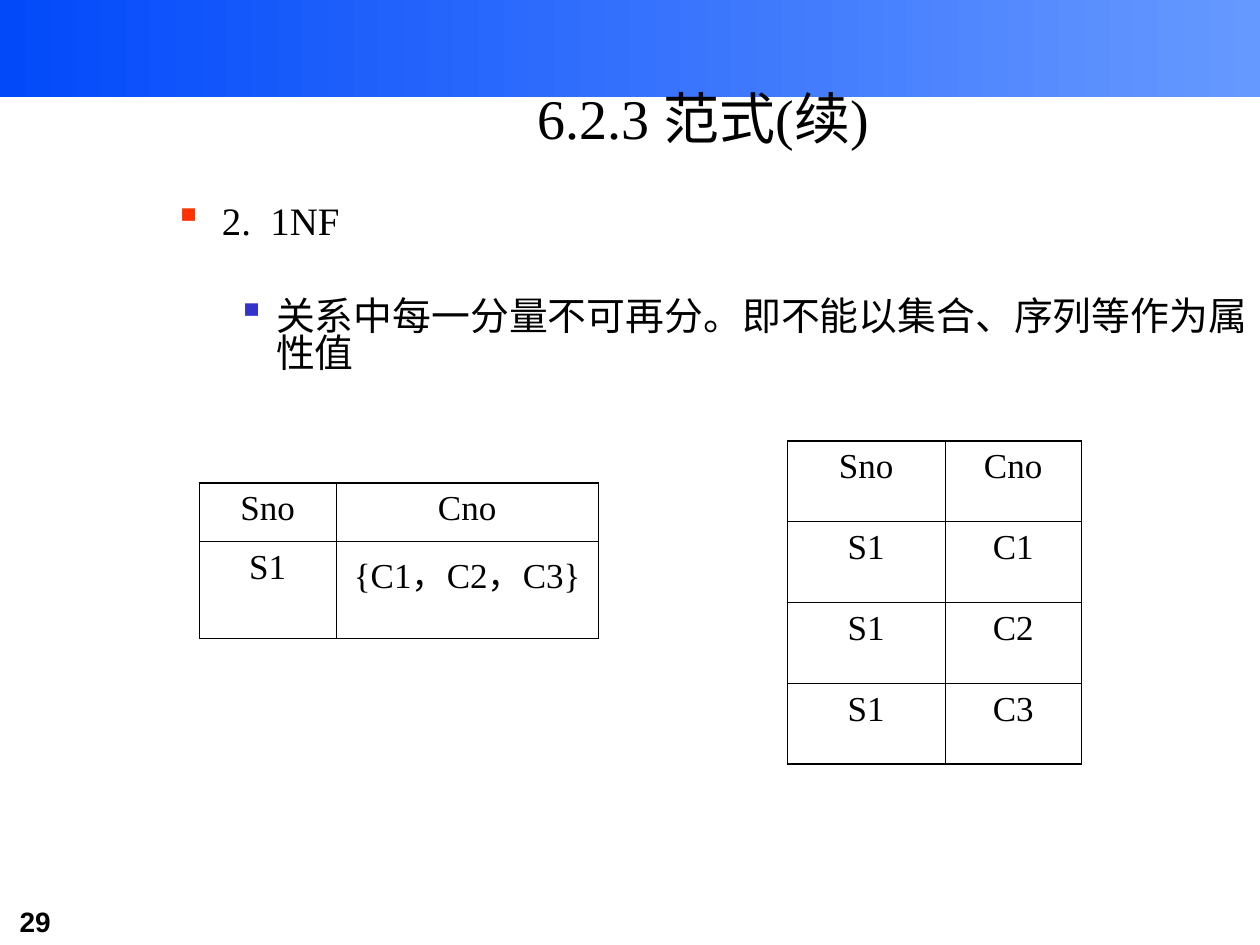
from lxml.etree import SubElement
from pptx import Presentation
from pptx.dml.color import RGBColor
from pptx.enum.shapes import MSO_SHAPE
from pptx.enum.text import PP_ALIGN
from pptx.oxml import parse_xml
from pptx.oxml.ns import nsdecls, qn
from pptx.util import Inches, Pt

UNIT = Inches(10) / 120
SERIF = "Times New Roman"


def grid(*cells):
    return [round(cell * UNIT) for cell in cells]


def style(paragraph, size, face=SERIF, color="000000"):
    paragraph.font.size = Pt(size)
    paragraph.font.name = face
    paragraph.font.color.rgb = RGBColor.from_string(color)


deck = Presentation()
deck.slide_width, deck.slide_height = grid(120, 90)
slide = deck.slides.add_slide(deck.slide_layouts[6])

band = slide.shapes.add_shape(MSO_SHAPE.RECTANGLE, *grid(0, 0, 120, 9.2))
band.shadow.inherit = False
band.line.fill.background()
band.fill.gradient()
band.fill.gradient_angle = 0
for stop, (position, shade) in zip(band.fill.gradient_stops, [(0, "0249FA"), (1, "6699FF")]):
    stop.position = position
    stop.color.rgb = RGBColor.from_string(shade)

page_number = slide.shapes.add_textbox(*grid(0.7, 85.6, 14.6, 4.4)).text_frame.paragraphs[0]
page_number.text = "29"
page_number.space_before = Pt(10)
style(page_number, 16, "Arial")
page_number.font.bold = True

heading = slide.shapes.add_textbox(*grid(16, 7.4, 102, 14)).text_frame
heading.word_wrap = True
title = heading.paragraphs[0]
title.text = "6.2.3 范式(续)"
title.alignment = PP_ALIGN.CENTER
style(title, 32)

body = slide.shapes.add_textbox(*grid(15.4, 19, 104.6, 18)).text_frame
body.word_wrap = True
points = [
    ("2.  1NF", 0, 0.38, -0.38, 6, "FF3300"),
    ("关系中每一分量不可再分。即不能以集合、序列等作为属性值", 1, 0.81, -0.31, 33, "3333CC"),
]
for index, (wording, level, margin, indent, gap, bullet_color) in enumerate(points):
    point = body.paragraphs[0] if index == 0 else body.add_paragraph()
    point.text = wording
    point.level = level
    point.line_spacing = 0.8
    point.space_before = Pt(gap)
    style(point, 22.2)
    properties = point._p.get_or_add_pPr()
    properties.set("marL", str(Inches(margin)))
    properties.set("indent", str(Inches(indent)))
    bullet = parse_xml(f'<a:buClr {nsdecls("a")}><a:srgbClr val="{bullet_color}"/></a:buClr>')
    properties.find(qn("a:spcBef")).addnext(bullet)
    character = SubElement(properties, qn("a:buChar"), char="▪")
    bullet.addnext(character)

relations = [
    (19, 46, [13, 25], [5.6, 9.2], [["Sno", "Cno"], ["S1", "{C1，C2，C3}"]]),
    (75, 42, [15, 13], [7.7] * 4, [["Sno", "Cno"], ["S1", "C1"], ["S1", "C2"], ["S1", "C3"]]),
]
for left, top, widths, heights, records in relations:
    relation = slide.shapes.add_table(
        len(heights), len(widths), *grid(left, top, sum(widths), sum(heights))
    ).table
    relation.first_row = False
    relation.horz_banding = False
    for column, width in zip(relation.columns, grid(*widths)):
        column.width = width
    for row, height in zip(relation.rows, grid(*heights)):
        row.height = height
    for r, record in enumerate(records):
        for c, value in enumerate(record):
            cell = relation.cell(r, c)
            cell.fill.background()
            entry = cell.text_frame.paragraphs[0]
            entry.text = value
            entry.alignment = PP_ALIGN.CENTER
            entry.space_before = Pt(5)
            style(entry, 20)
            outer_edges = [c == 0, c == len(widths) - 1, r == 0, r == len(heights) - 1]
            for order, (side, outer) in enumerate(zip("LRTB", outer_edges)):
                weight = Pt(1.08 if outer else 0.45)
                cell._tc.get_or_add_tcPr().insert(order, parse_xml(
                    f'<a:ln{side} {nsdecls("a")} w="{weight}"><a:solidFill>'
                    f'<a:srgbClr val="000000"/></a:solidFill></a:ln{side}>'
                ))

deck.save("out.pptx")
